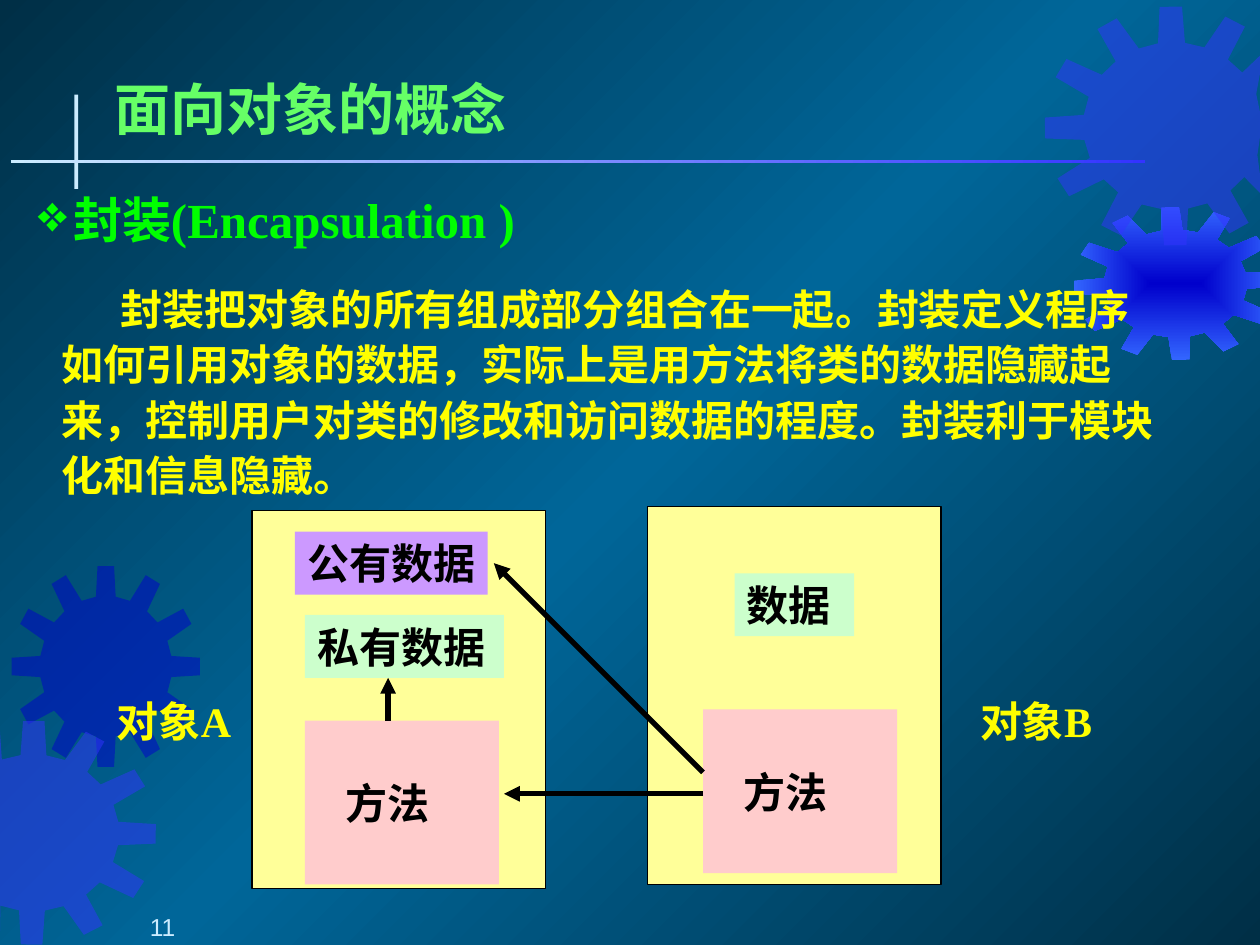
from dataclasses import dataclass
from math import cos, radians, sin

from lxml import etree
from pptx import Presentation
from pptx.dml.color import RGBColor
from pptx.enum.shapes import MSO_CONNECTOR, MSO_SHAPE
from pptx.enum.text import MSO_ANCHOR, PP_ALIGN
from pptx.oxml.ns import qn
from pptx.util import Inches, Pt

RECTANGLE = MSO_SHAPE.RECTANGLE
STRAIGHT = MSO_CONNECTOR.STRAIGHT
TOP, MIDDLE, BOTTOM = MSO_ANCHOR.TOP, MSO_ANCHOR.MIDDLE, MSO_ANCHOR.BOTTOM
LEFT, CENTER = PP_ALIGN.LEFT, PP_ALIGN.CENTER

SLIDE_WIDTH, SLIDE_HEIGHT = 10, 7.5
SERIF, SANS, CHINESE = "Times New Roman", "Arial", "Noto Sans CJK SC"
DARK_TEAL, TEAL, PALE_BLUE = "002F46", "006699", "CCECFF"
NAVY, BLUE, SKY_BLUE = "0000CC", "3333FF", "3366FF"
YELLOW, BLACK, CREAM, PINK, MINT, LILAC = "FFFF00", "000000", "FFFF99", "FFCCCC", "CCFFCC", "CC99FF"
TITLE_GREEN, BRIGHT_GREEN = "66FF66", "00FF00"

TEETH = 12
ROOT_RATIO = 0.7
# One tooth: degrees from its middle, and distance from the centre relative to the tip.
TOOTH_OUTLINE = [(-8.6, ROOT_RATIO), (-5, 1), (5, 1), (8.6, ROOT_RATIO)]


@dataclass
class Gear:
    center: tuple[float, float]
    radii: tuple[float, float]
    turn: float
    color: str
    rim_color: str | None = None
    x_limits: tuple[float, float] = (-1, SLIDE_WIDTH + 1)


@dataclass
class Box:
    left: float
    top: float
    width: float
    height: float
    fill: str | None = None
    text: str = ""
    color: str = BLACK
    outline: str | None = None
    inset: float = 0.1


@dataclass
class Arrow:
    start: tuple[float, float]
    end: tuple[float, float]


GEARS = [
    Gear((0.84, 5.29), (0.75, 0.8), 0, NAVY),
    Gear((0.26, 6.61), (0.98, 0.89), 0.5, BLUE, x_limits=(0, SLIDE_WIDTH)),
    Gear((9.33, 2.25), (0.81, 0.61), -3, NAVY, rim_color=SKY_BLUE),
    Gear((9.31, 1), (1.02, 0.95), -1, BLUE, x_limits=(0, SLIDE_WIDTH)),
]
OBJECT_A = [
    Box(0.83, 5.47, 1.18, 0.5, text="对象A", color=YELLOW),
    Box(2, 4.05, 2.33, 3, CREAM, outline=BLACK),
    Box(2.34, 4.22, 1.53, 0.5, LILAC, "公有数据"),
    Box(2.42, 4.88, 1.58, 0.5, MINT, "私有数据"),
    Box(2.42, 5.72, 1.54, 1.3, PINK, "方法", inset=0.32),
]
OBJECT_B = [
    Box(7.68, 5.47, 1.17, 0.5, text="对象B", color=YELLOW),
    Box(5.14, 4.02, 2.33, 3, CREAM, outline=BLACK),
    Box(5.83, 4.55, 0.95, 0.5, MINT, "数据"),
    Box(5.58, 5.63, 1.54, 1.3, PINK, "方法", inset=0.32),
]
METHOD_CALLS = [
    Arrow((3.08, 5.72), (3.08, 5.38)),
    Arrow((5.58, 6.3), (4, 6.3)),
    Arrow((5.58, 6.13), (3.92, 4.47)),
]


def rgb(color: str) -> RGBColor:
    return RGBColor.from_string(color)


def set_gradient(fill, element, colors: list[str], angle: int | None = None) -> None:
    """Spread the colours evenly along an angle, or from the centre when there is none."""
    fill.gradient()
    gradient = next(element.iter(qn("a:gradFill")))
    for child in list(gradient):
        gradient.remove(child)
    stops = etree.SubElement(gradient, qn("a:gsLst"))
    for index, color in enumerate(colors):
        position = 100000 * index // (len(colors) - 1)
        stop = etree.SubElement(stops, qn("a:gs"), pos=str(position))
        etree.SubElement(stop, qn("a:srgbClr"), val=color)
    if angle is None:
        center = etree.SubElement(gradient, qn("a:path"), path="rect")
        etree.SubElement(center, qn("a:fillToRect"), dict.fromkeys("ltrb", "50000"))
    else:
        etree.SubElement(gradient, qn("a:lin"), ang=str(angle * 60000), scaled="0")


def style_shape(shape, fill: str, outline: str | None = None) -> None:
    shape.shadow.inherit = False
    shape.fill.solid()
    shape.fill.fore_color.rgb = rgb(fill)
    if outline:
        shape.line.color.rgb, shape.line.width = rgb(outline), Pt(0.75)
    else:
        shape.line.fill.background()


def gear_outline(gear: Gear) -> list[tuple[int, int]]:
    """Walk round the ellipse tooth by tooth, cutting the gear off at its x limits."""
    lowest, highest = gear.x_limits
    points = []
    for tooth in range(TEETH):
        for offset, ratio in TOOTH_OUTLINE:
            angle = radians(tooth * 360 / TEETH + gear.turn + offset)
            x = gear.center[0] + gear.radii[0] * ratio * cos(angle)
            y = gear.center[1] + gear.radii[1] * ratio * sin(angle)
            points.append((Inches(min(max(x, lowest), highest)), Inches(y)))
    return points


def add_gear(slide, gear: Gear) -> None:
    start, *others = gear_outline(gear)
    builder = slide.shapes.build_freeform(*start)
    builder.add_line_segments(others, close=True)
    shape = builder.convert_to_shape()
    style_shape(shape, gear.color)
    if gear.rim_color:
        set_gradient(shape.fill, shape._element, [gear.color, gear.rim_color])
    else:
        color = next(shape._element.iter(qn("a:srgbClr")))
        etree.SubElement(color, qn("a:alpha"), val="50000")


def format_runs(paragraph, size: float, color: str, font: str = SERIF, bold: bool = True) -> None:
    for run in paragraph.runs:
        run.font.name, run.font.size, run.font.bold = font, Pt(size), bold
        run.font.color.rgb = rgb(color)
        etree.SubElement(run._r.get_or_add_rPr(), qn("a:ea"), typeface=CHINESE)


def set_frame(shape, inset: float, anchor, vertical: float = 0.04, wrap: bool = True):
    frame = shape.text_frame
    frame.word_wrap, frame.vertical_anchor = wrap, anchor
    frame.margin_left, frame.margin_right = Inches(inset), Inches(0.04)
    frame.margin_top = frame.margin_bottom = Inches(vertical)
    return frame


def add_box(slide, box: Box):
    place = [Inches(value) for value in (box.left, box.top, box.width, box.height)]
    if box.fill:
        shape = slide.shapes.add_shape(RECTANGLE, *place)
        style_shape(shape, box.fill, box.outline)
    else:
        shape = slide.shapes.add_textbox(*place)
    if box.text:
        frame = set_frame(shape, box.inset, MIDDLE, wrap=False)
        frame.text = box.text
        frame.paragraphs[0].alignment = LEFT
        format_runs(frame.paragraphs[0], 24, box.color)
    return shape


def add_arrow(slide, arrow: Arrow) -> None:
    ends = [Inches(value) for value in arrow.start + arrow.end]
    connector = slide.shapes.add_connector(STRAIGHT, *ends)
    connector.line.color.rgb, connector.line.width = rgb(BLACK), Pt(3)
    etree.SubElement(connector.line._get_or_add_ln(), qn("a:tailEnd"), type="triangle")
    etree.SubElement(connector._element.spPr, qn("a:effectLst"))


def set_indent(paragraph, margin: float, first_line: float):
    properties = paragraph._p.get_or_add_pPr()
    properties.set("marL", str(Inches(margin)))
    properties.set("indent", str(Inches(first_line)))
    properties.set("hangingPunct", "0")
    return properties


def add_title_rules(slide) -> None:
    add_box(slide, Box(0.59, 0.75, 0.03, 0.75, PALE_BLUE))
    horizontal = add_box(slide, Box(0.09, 1.27, 9, 0.02, PALE_BLUE))
    set_gradient(horizontal.fill, horizontal._element, [BLUE, PALE_BLUE], 180)


def add_title(slide) -> None:
    frame = set_frame(add_box(slide, Box(0.87, 0.54, 8.84, 0.63)), 0.04, MIDDLE)
    frame.text = "面向对象的概念"
    format_runs(frame.paragraphs[0], 32, TITLE_GREEN, CHINESE)


def add_body(slide) -> None:
    frame = set_frame(add_box(slide, Box(0.24, 1.47, 9.05, 2.53)), 0.04, TOP, 0.03)
    heading, explanation = frame.paragraphs[0], frame.add_paragraph()
    heading.text = "封装(Encapsulation )"
    properties = set_indent(heading, 0.3, -0.28)
    bullet_color = etree.SubElement(properties, qn("a:buClr"))
    etree.SubElement(bullet_color, qn("a:srgbClr"), val=BRIGHT_GREEN)
    etree.SubElement(properties, qn("a:buSzPct"), val="105000")
    etree.SubElement(properties, qn("a:buChar"), char="❖")
    heading.line_spacing = Pt(34)
    format_runs(heading, 28, BRIGHT_GREEN)
    explanation.text = ("封装把对象的所有组成部分组合在一起。封装定义程序如何引用对象的数据，实际上是用方法将类的"
                        "数据隐藏起来，控制用户对类的修改和访问数据的程度。封装利于模块化和信息隐藏。")
    set_indent(explanation, 0.21, 0.47)
    explanation.line_spacing, explanation.space_before = Pt(31.7), Pt(17)
    format_runs(explanation, 24, YELLOW)


def add_slide_number(slide) -> None:
    frame = set_frame(add_box(slide, Box(0.5, 7.05, 1.58, 0.42)), 0.04, BOTTOM, 0)
    frame.text = "11"
    frame.paragraphs[0].alignment = CENTER
    format_runs(frame.paragraphs[0], 14, PALE_BLUE, SANS, bold=False)


def main() -> None:
    presentation = Presentation()
    presentation.slide_width, presentation.slide_height = Inches(SLIDE_WIDTH), Inches(SLIDE_HEIGHT)
    slide = presentation.slides.add_slide(presentation.slide_layouts[6])
    set_gradient(slide.background.fill, slide._element, [DARK_TEAL, TEAL, DARK_TEAL], 225)
    for gear in GEARS:
        add_gear(slide, gear)
    add_title_rules(slide)
    for box in OBJECT_A + OBJECT_B:
        add_box(slide, box)
    for arrow in METHOD_CALLS:
        add_arrow(slide, arrow)
    add_title(slide)
    add_body(slide)
    add_slide_number(slide)
    presentation.save("out.pptx")


if __name__ == "__main__":
    main()
